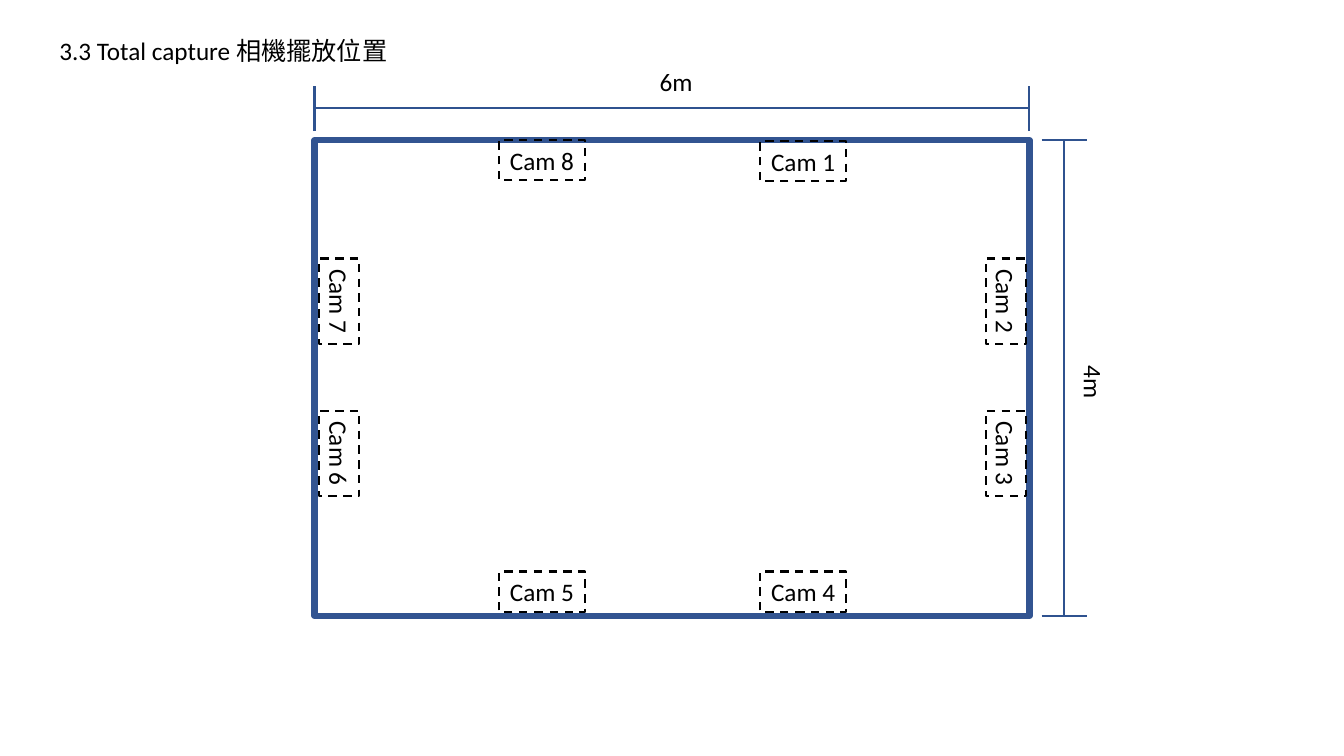
from dataclasses import dataclass

from lxml.etree import SubElement
from pptx import Presentation
from pptx.dml.color import RGBColor
from pptx.enum.dml import MSO_LINE
from pptx.enum.shapes import MSO_CONNECTOR, MSO_SHAPE
from pptx.enum.text import MSO_ANCHOR, MSO_AUTO_SIZE, PP_ALIGN
from pptx.oxml.ns import qn
from pptx.shapes.autoshape import Shape
from pptx.slide import Slide
from pptx.util import Inches, Pt

BLACK = RGBColor(0x00, 0x00, 0x00)
WALL = RGBColor(0x32, 0x54, 0x91)
RULE = RGBColor(0x2F, 0x52, 0x8F)

LEFT, TOP, WIDTH, HEIGHT = 3.12, 1.39, 7.09, 4.72
RIGHT, BASE = LEFT + WIDTH, TOP + HEIGHT
CAM_W, CAM_H = 0.85, 0.4
WEST, EAST = 2.94, 9.55
COL_A, COL_B = 4.95, 7.54
ROW_A, ROW_B = 2.79, 4.3
LOW = 5.67
TICK = 0.45
RULE_Y, RULE_X = 1.07, 10.55


@dataclass
class Cam:
    number: int
    left: float
    top: float
    turn: int = 0


@dataclass
class Line:
    x1: float
    y1: float
    x2: float
    y2: float


@dataclass
class Label:
    text: str
    left: float
    top: float
    turn: int = 0


CAMS = [
    Cam(1, COL_B, 1.4),
    Cam(2, EAST, ROW_A, 90),
    Cam(3, EAST, ROW_B, 90),
    Cam(4, COL_B, LOW),
    Cam(5, COL_A, LOW),
    Cam(6, WEST, ROW_B, 90),
    Cam(7, WEST, ROW_A, 90),
    Cam(8, COL_A, TOP),
]
LINES = [
    *(Line(x, 0.85 + TICK, x, 0.85) for x in (LEFT, RIGHT)),
    Line(LEFT, RULE_Y, RIGHT, RULE_Y),
    *(Line(10.33, y, 10.33 + TICK, y) for y in (TOP, BASE)),
    Line(RULE_X, TOP, RULE_X, BASE),
]
LABELS = [Label("4m", RULE_X, 3.53), Label("6m", 6.41, 0.64, 270)]


def write(shape: Shape, text: str, align: PP_ALIGN, wrap: bool = False) -> None:
    frame = shape.text_frame
    frame.word_wrap = wrap
    frame.auto_size = MSO_AUTO_SIZE.SHAPE_TO_FIT_TEXT
    frame.vertical_anchor = MSO_ANCHOR.TOP
    line = frame.paragraphs[0]
    line.text = text
    line.alignment = align
    line.font.name = "Calibri"
    line.font.size = Pt(18)
    line.font.color.rgb = BLACK


def add_box(slide: Slide, left: float, top: float, width: float, height: float,
            color: RGBColor, weight: float) -> Shape:
    box = slide.shapes.add_shape(
        MSO_SHAPE.RECTANGLE, Inches(left), Inches(top), Inches(width), Inches(height))
    box.shadow.inherit = False
    box.fill.background()
    box.line.color.rgb = color
    box.line.width = Pt(weight)
    return box


def add_cam(slide: Slide, cam: Cam) -> None:
    box = add_box(slide, cam.left, cam.top, CAM_W, CAM_H, BLACK, 1.5)
    box.line.dash_style = MSO_LINE.DASH
    box.rotation = cam.turn
    write(box, f"Cam {cam.number}", PP_ALIGN.CENTER)


def add_line(slide: Slide, line: Line) -> None:
    rule = slide.shapes.add_connector(
        MSO_CONNECTOR.STRAIGHT, Inches(line.x1), Inches(line.y1),
        Inches(line.x2), Inches(line.y2))
    rule.line.color.rgb = RULE
    rule.line.width = Pt(1.5)
    SubElement(rule.element.spPr, qn("a:effectLst"))


def add_label(slide: Slide, label: Label) -> None:
    box = slide.shapes.add_textbox(
        Inches(label.left), Inches(label.top), Inches(0.5), Inches(0.43))
    box.rotation = label.turn
    write(box, label.text, PP_ALIGN.LEFT)
    box.element.txBody.find(qn("a:bodyPr")).set("vert", "eaVert")


def main() -> None:
    deck = Presentation()
    deck.slide_width, deck.slide_height = Inches(13.33), Inches(7.5)
    slide = deck.slides.add_slide(deck.slide_layouts[6])
    title = slide.shapes.add_textbox(Inches(0.49), Inches(0.3), Inches(3.49), Inches(0.4))
    write(title, "3.3 Total capture 相機擺放位置", PP_ALIGN.LEFT, wrap=True)
    add_box(slide, LEFT, TOP, WIDTH, HEIGHT, WALL, 4.5)
    for cam in CAMS:
        add_cam(slide, cam)
    for line in LINES:
        add_line(slide, line)
    for label in LABELS:
        add_label(slide, label)
    deck.save("out.pptx")


if __name__ == "__main__":
    main()
